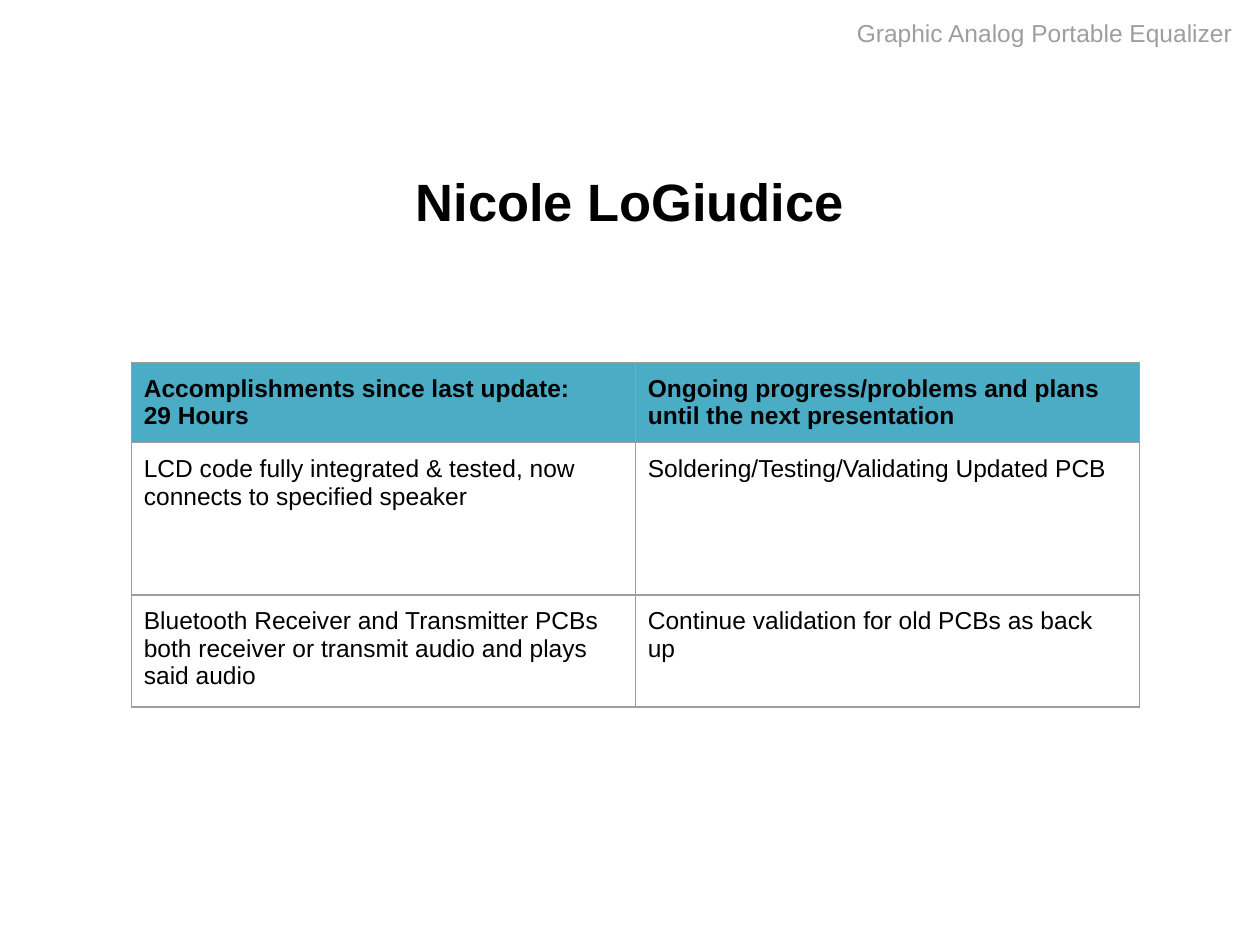
from dataclasses import dataclass

from lxml import etree
from pptx import Presentation
from pptx.dml.color import RGBColor
from pptx.enum.text import MSO_ANCHOR, PP_ALIGN
from pptx.oxml.ns import qn
from pptx.util import Pt

CENTER, LEFT = PP_ALIGN.CENTER, PP_ALIGN.LEFT
MIDDLE, TOP = MSO_ANCHOR.MIDDLE, MSO_ANCHOR.TOP
TITLE_ONLY = 5


@dataclass(frozen=True)
class Theme:
    font: str = "Arial"
    ink: str = "000000"
    muted: str = "9E9E9E"
    accent: str = "4BACC6"
    title_size: float = 30
    body_size: float = 14
    inset: float = 7.2
    border: float = 0.75


THEME = Theme()

UPDATES = [
    (["Accomplishments since last update:", "29 Hours"],
     ["Ongoing progress/problems and plans until the next presentation"]),
    (["LCD code fully integrated & tested, now connects to specified speaker"],
     ["Soldering/Testing/Validating Updated PCB"]),
    (["Bluetooth Receiver and Transmitter PCBs both receiver or transmit audio "
      "and plays said audio"],
     ["Continue validation for old PCBs as back up"]),
]
ROW_SHARES = [46, 87, 64]


def write(frame, lines, size, color, bold=False, align=LEFT):
    for index, line in enumerate(lines):
        paragraph = frame.add_paragraph() if index else frame.paragraphs[0]
        paragraph.alignment = align
        run = paragraph.add_run()
        run.text = line
        run.font.name = THEME.font
        run.font.size = Pt(size)
        run.font.bold = bold
        run.font.color.rgb = RGBColor.from_string(color)


def set_insets(target, horizontal, vertical):
    target.margin_left = target.margin_right = Pt(horizontal)
    target.margin_top = target.margin_bottom = Pt(vertical)


def outline(cell):
    properties = cell._tc.get_or_add_tcPr()
    for side in ("a:lnL", "a:lnR", "a:lnT", "a:lnB"):
        line = etree.SubElement(properties, qn(side), w=str(Pt(THEME.border)))
        fill = etree.SubElement(line, qn("a:solidFill"))
        etree.SubElement(fill, qn("a:srgbClr"), val=THEME.muted)


def place_member_name(slide, left, top, width, height):
    title = slide.shapes.title
    title.left, title.top = Pt(left), Pt(top)
    title.width, title.height = Pt(width), Pt(height)
    frame = title.text_frame
    frame.word_wrap = True
    frame.vertical_anchor = MIDDLE
    set_insets(frame, THEME.inset, THEME.inset / 2)
    write(frame, ["Nicole LoGiudice"], THEME.title_size, THEME.ink, True, CENTER)


def place_updates(slide, left, top, width, height):
    table = slide.shapes.add_table(
        len(UPDATES), len(UPDATES[0]), Pt(left), Pt(top), Pt(width), Pt(height)
    ).table
    table.first_row = table.horz_banding = False
    for column in table.columns:
        column.width = Pt(width / len(UPDATES[0]))
    for row, share in zip(table.rows, ROW_SHARES):
        row.height = Pt(height * share / sum(ROW_SHARES))
    for row_index, entries in enumerate(UPDATES):
        heading = row_index == 0
        for column_index, lines in enumerate(entries):
            cell = table.cell(row_index, column_index)
            cell.vertical_anchor = TOP
            set_insets(cell, THEME.inset, THEME.inset)
            outline(cell)
            if heading:
                cell.fill.solid()
                cell.fill.fore_color.rgb = RGBColor.from_string(THEME.accent)
            else:
                cell.fill.background()
            write(cell.text_frame, lines, THEME.body_size, THEME.ink, heading)


def place_project_name(slide, left, top, width, height):
    frame = slide.shapes.add_textbox(
        Pt(left), Pt(top), Pt(width), Pt(height)
    ).text_frame
    frame.word_wrap = True
    set_insets(frame, THEME.inset, THEME.inset)
    write(frame, ["Graphic Analog Portable Equalizer"],
          THEME.body_size, THEME.muted)


def main():
    deck = Presentation()
    deck.slide_width, deck.slide_height = Pt(720), Pt(540)
    slide = deck.slides.add_slide(deck.slide_layouts[TITLE_ONLY])
    place_member_name(slide, 36, 83, 648, 63)
    place_updates(slide, 75, 207, 576, 197)
    place_project_name(slide, 482.5, 3, 232, 32)
    deck.save("out.pptx")


if __name__ == "__main__":
    main()
